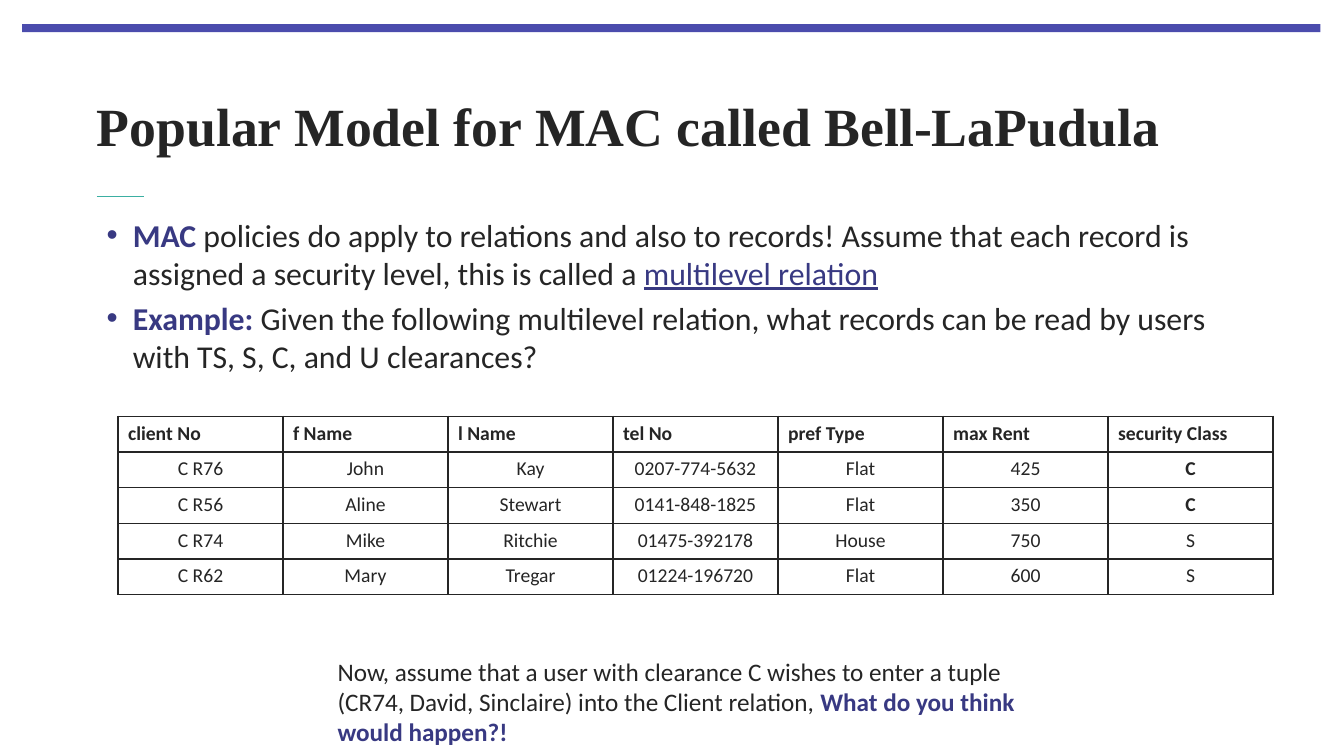
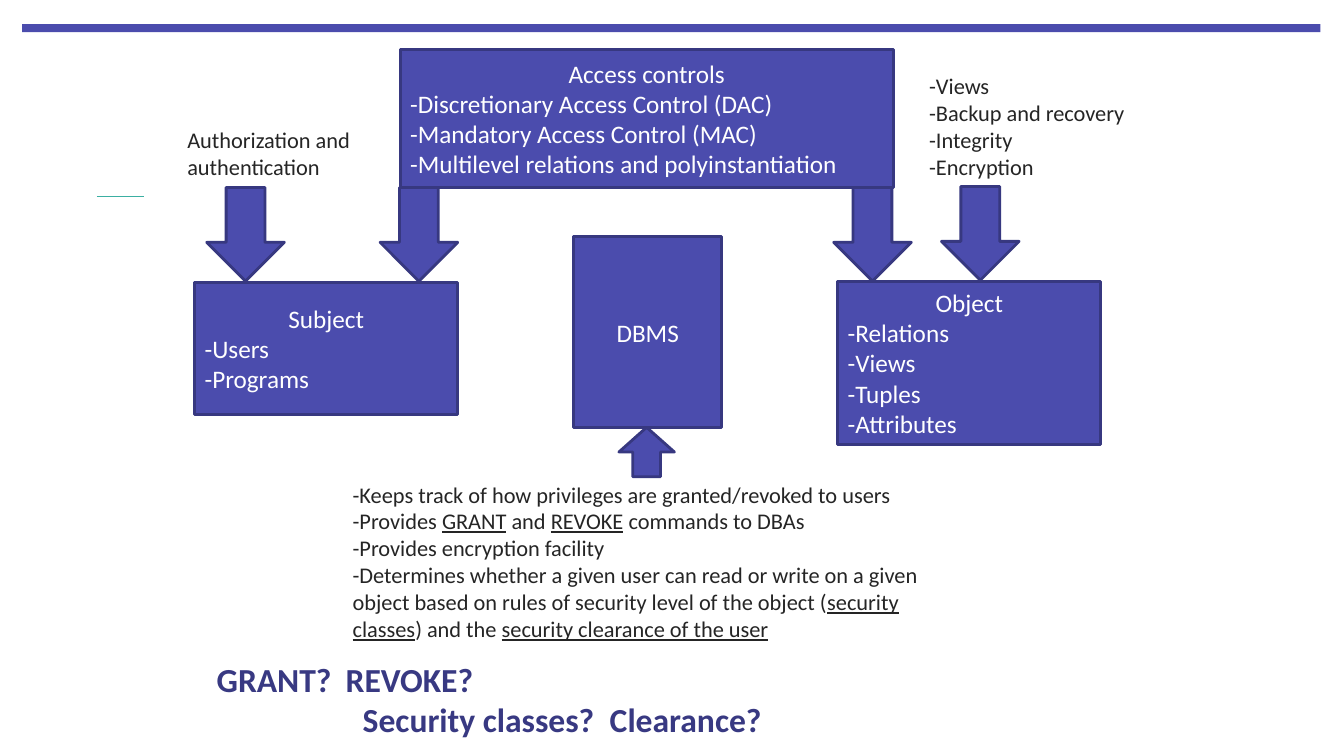
import pptx
import pptx.util
import pptx.dml.color
import pptx.enum.shapes
import pptx.enum.text
import pptx.oxml
import pptx.oxml.ns
from lxml import etree

SHAPES = pptx.enum.shapes.MSO_SHAPE
ALIGN = pptx.enum.text.PP_ALIGN
ANCHOR = pptx.enum.text.MSO_ANCHOR

WIDTH, HEIGHT = pptx.util.Inches(13.333), pptx.util.Inches(7.5)
INDIGO, NAVY, TEAL, INK, WHITE = "4B4CAD", "383982", "3BAFA2", "252525", "FFFFFF"
OUTLINE = "373880"
BODY_FONT, TITLE_FONT = "Calibri", "Times New Roman"

BAND = (1.65, 3.2, 96.6, 1.07)
RULE = (7.2, 26, 10.73, 26)
TITLE_AREA = (7.2, 8.27, 87.08, 16.67)

STRONG = {"bold": True, "color": NAVY}
UNDERLINED = {"underline": True}

TITLE = "Popular Model for MAC called Bell-LaPudula"
BULLETS_AREA = (7.2, 28.53, 87.08, 18.93)
BULLETS = [
    [("MAC ", STRONG),
     ("policies do apply to relations and also to records! Assume that each record is "
      "assigned a security level, this is called a ", {}),
     ("multilevel relation", {"underline": True, "color": NAVY})],
    [("Example: ", STRONG),
     ("Given the following multilevel relation, what records can be read by users "
      "with TS, S, C, and U clearances?", {})],
]
TABLE_AREA = (8.78, 55.07, 85.95, 23.6)
CLIENTS = [
    ("client No", "f Name", "l Name", "tel No", "pref Type", "max Rent", "security Class"),
    ("C R76", "John", "Kay", "0207-774-5632", "Flat", "425", "C"),
    ("C R56", "Aline", "Stewart", "0141-848-1825", "Flat", "350", "C"),
    ("C R74", "Mike", "Ritchie", "01475-392178", "House", "750", "S"),
    ("C R62", "Mary", "Tregar", "01224-196720", "Flat", "600", "S"),
]
QUESTION_AREA = (24.38, 86.13, 54.83, 13.47)
QUESTION = [[
    ("Now, assume that a user with clearance C wishes to enter a tuple "
     "(CR74, David, Sinclaire) into the Client relation, ", {}),
    ("What do you think would happen?!", STRONG),
]]

ARROW_SIZE = (5.78, 12.4)
DOWN_ARROWS = [(15.38, 24.8), (28.28, 24.8), (62.03, 24.8), (70.05, 24.67)]
UP_ARROW = (46.05, 56.53, 4.13, 6.53)
BOXES = [
    ((14.48, 37.33, 19.58, 17.47), ["Subject", "-Users", "-Programs"]),
    ((62.33, 37.2, 19.58, 21.6),
     ["Object", "-Relations", "-Views", "-Tuples", "-Attributes"]),
    ((29.78, 6.53, 36.68, 18.27),
     ["Access controls", "-Discretionary Access Control (DAC)",
      "-Mandatory Access Control (MAC)", "-Multilevel relations and polyinstantiation"]),
    ((42.68, 31.33, 11.03, 25.2), ["DBMS"]),
]
NOTES = [
    ((13.2, 16, 15.9, 8.53), ["Authorization and authentication"]),
    ((68.4, 8.93, 16.5, 15.73),
     ["-Views", "-Backup and recovery", "-Integrity", "-Encryption"]),
    ((25.5, 62.93, 44.55, 22.93), [
        "-Keeps track of how privileges are granted/revoked to users",
        [("-Provides ", {}), ("GRANT", UNDERLINED), (" and ", {}),
         ("REVOKE", UNDERLINED), (" commands to DBAs", {})],
        "-Provides encryption facility",
        [("-Determines whether a given user can read or write on a given object "
          "based on rules of security level of the object (", {}),
         ("security classes", UNDERLINED), (") and the ", {}),
         ("security clearance of the user", UNDERLINED)],
    ]),
]
PROMPTS = [
    ((15.38, 86.53, 36.9, 6.67), "GRANT?\tREVOKE?", 9.6),
    ((26.25, 91.73, 36.9, 6.67), "Security classes?\tClearance?", 18.38),
]


def rgb(color):
    return pptx.dml.color.RGBColor.from_string(color)


def place(area):
    return [round(share * (HEIGHT if index % 2 else WIDTH) / 100)
            for index, share in enumerate(area)]


def write(paragraph, content, size, color=INK, font=BODY_FONT, bold=False):
    pieces = [(content, {})] if isinstance(content, str) else content
    for text, style in pieces:
        run = paragraph.add_run()
        run.text = text
        run.font.name = font
        run.font.size = pptx.util.Pt(size)
        run.font.bold = style.get("bold", bold)
        run.font.underline = style.get("underline", False)
        run.font.color.rgb = rgb(style.get("color", color))


def fill_frame(frame, paragraphs, size, **style):
    frame.word_wrap = True
    for index, content in enumerate(paragraphs):
        paragraph = frame.add_paragraph() if index else frame.paragraphs[0]
        write(paragraph, content, size, **style)


def add_text(slide, area, paragraphs, size, **style):
    frame = slide.shapes.add_textbox(*place(area)).text_frame
    fill_frame(frame, paragraphs, size, **style)
    return frame


def add_block(slide, kind, area, outline=OUTLINE):
    shape = slide.shapes.add_shape(kind, *place(area))
    shape.shadow.inherit = False
    shape.fill.solid()
    shape.fill.fore_color.rgb = rgb(INDIGO)
    if outline:
        shape.line.color.rgb = rgb(outline)
        shape.line.width = pptx.util.Pt(2)
    else:
        shape.line.fill.background()
    return shape


def new_slide(presentation):
    slide = presentation.slides.add_slide(presentation.slide_layouts[6])
    add_block(slide, SHAPES.RECTANGLE, BAND, outline=None)
    rule = slide.shapes.add_connector(pptx.enum.shapes.MSO_CONNECTOR.STRAIGHT, *place(RULE))
    rule.line.color.rgb = rgb(TEAL)
    rule.line.width = pptx.util.Pt(0.5)
    etree.SubElement(rule._element.spPr, pptx.oxml.ns.qn("a:effectLst"))
    return slide


def add_bullet(paragraph):
    properties = paragraph._p.get_or_add_pPr()
    indent = pptx.util.Inches(0.26)
    properties.set("marL", str(indent))
    properties.set("indent", str(-indent))
    color = etree.SubElement(properties, pptx.oxml.ns.qn("a:buClr"))
    etree.SubElement(color, pptx.oxml.ns.qn("a:srgbClr"), val=NAVY)
    etree.SubElement(properties, pptx.oxml.ns.qn("a:buFont"), typeface="Arial")
    etree.SubElement(properties, pptx.oxml.ns.qn("a:buChar"), char="•")


def add_tab_stop(paragraph, share):
    tabs = etree.SubElement(paragraph._p.get_or_add_pPr(), pptx.oxml.ns.qn("a:tabLst"))
    position = str(round(WIDTH * share / 100))
    etree.SubElement(tabs, pptx.oxml.ns.qn("a:tab"), pos=position, algn="l")


def add_borders(cell):
    properties = cell._tc.get_or_add_tcPr()
    for index, side in enumerate(("lnL", "lnR", "lnT", "lnB")):
        border = pptx.oxml.parse_xml(
            f'<a:{side} {pptx.oxml.ns.nsdecls("a")} w="12700"><a:solidFill>'
            f'<a:srgbClr val="{INK}"/></a:solidFill></a:{side}>')
        properties.insert(index, border)


def add_client_table(slide):
    table = slide.shapes.add_table(len(CLIENTS), len(CLIENTS[0]), *place(TABLE_AREA)).table
    table.first_row = table.horz_banding = False
    for row_index, record in enumerate(CLIENTS):
        for column_index, value in enumerate(record):
            cell = table.cell(row_index, column_index)
            cell.fill.background()
            add_borders(cell)
            paragraph = cell.text_frame.paragraphs[0]
            if row_index:
                paragraph.alignment = ALIGN.CENTER
            write(paragraph, value, 14, bold=row_index == 0 or value == "C")


def build_model_slide(presentation):
    slide = new_slide(presentation)
    title = add_text(slide, TITLE_AREA, [TITLE], 38.4, font=TITLE_FONT, bold=True)
    title.vertical_anchor = ANCHOR.MIDDLE
    title.margin_left = title.margin_right = title.margin_top = title.margin_bottom = 0
    add_client_table(slide)
    bullets = add_text(slide, BULLETS_AREA, BULLETS, 22.7)
    bullets.margin_top = bullets.margin_bottom = 0
    for index, paragraph in enumerate(bullets.paragraphs):
        add_bullet(paragraph)
        paragraph.space_before = pptx.util.Pt(4.5 if index else 0)
    add_text(slide, QUESTION_AREA, QUESTION, 18)


def build_controls_slide(presentation):
    slide = new_slide(presentation)
    for corner in DOWN_ARROWS:
        add_block(slide, SHAPES.DOWN_ARROW, corner + ARROW_SIZE)
    add_block(slide, SHAPES.UP_ARROW, UP_ARROW)
    for area, lines in BOXES:
        frame = add_block(slide, SHAPES.RECTANGLE, area).text_frame
        frame.vertical_anchor = ANCHOR.MIDDLE
        fill_frame(frame, lines, 18, color=WHITE)
        for index, paragraph in enumerate(frame.paragraphs):
            paragraph.alignment = ALIGN.LEFT if index else ALIGN.CENTER
    for area, lines in NOTES:
        add_text(slide, area, lines, 16)
    for area, prompt, tab_share in PROMPTS:
        frame = add_text(slide, area, [prompt], 24, color=NAVY, bold=True)
        add_tab_stop(frame.paragraphs[0], tab_share)


def main():
    presentation = pptx.Presentation()
    presentation.slide_width, presentation.slide_height = WIDTH, HEIGHT
    build_model_slide(presentation)
    build_controls_slide(presentation)
    presentation.save("out.pptx")


if __name__ == "__main__":
    main()
